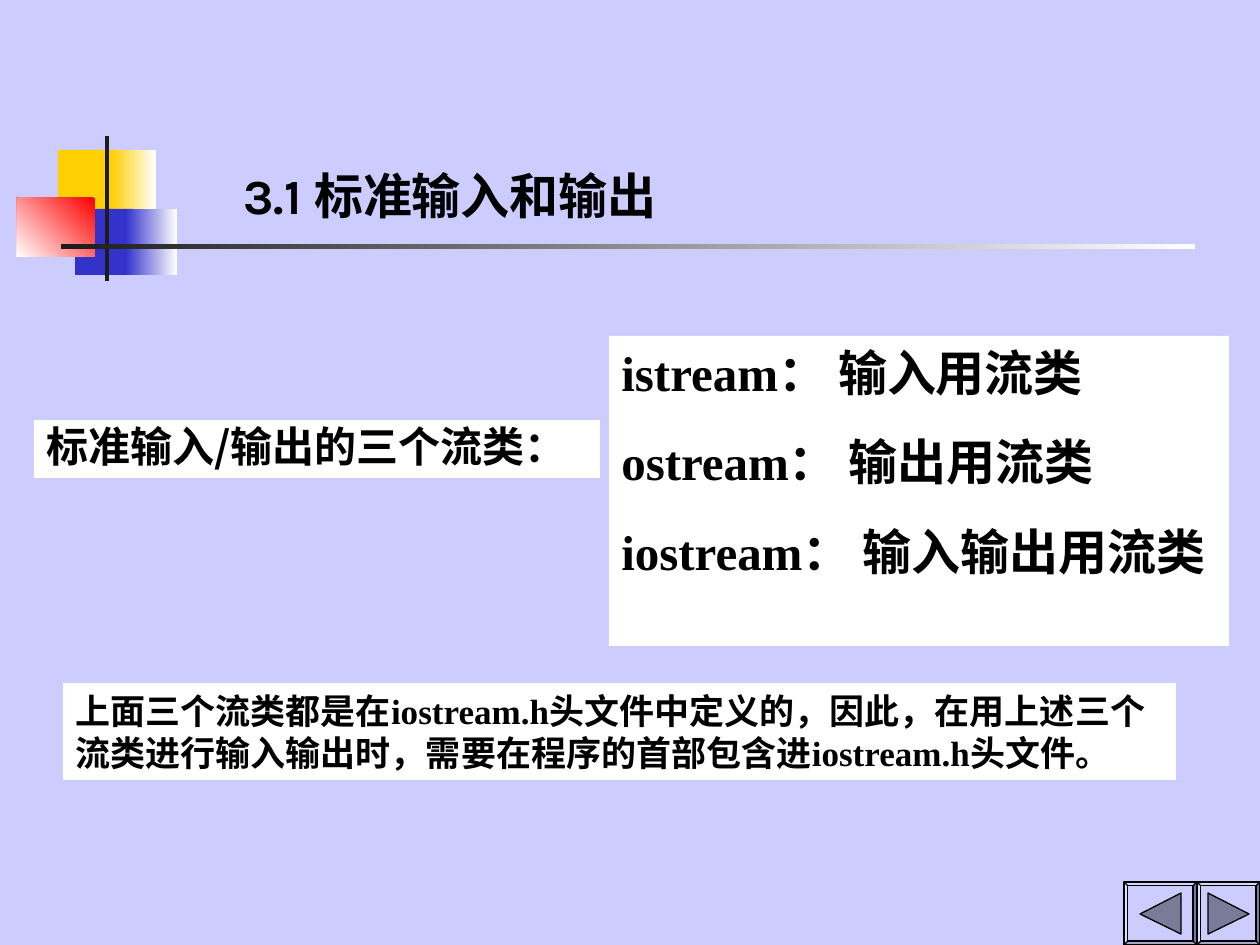
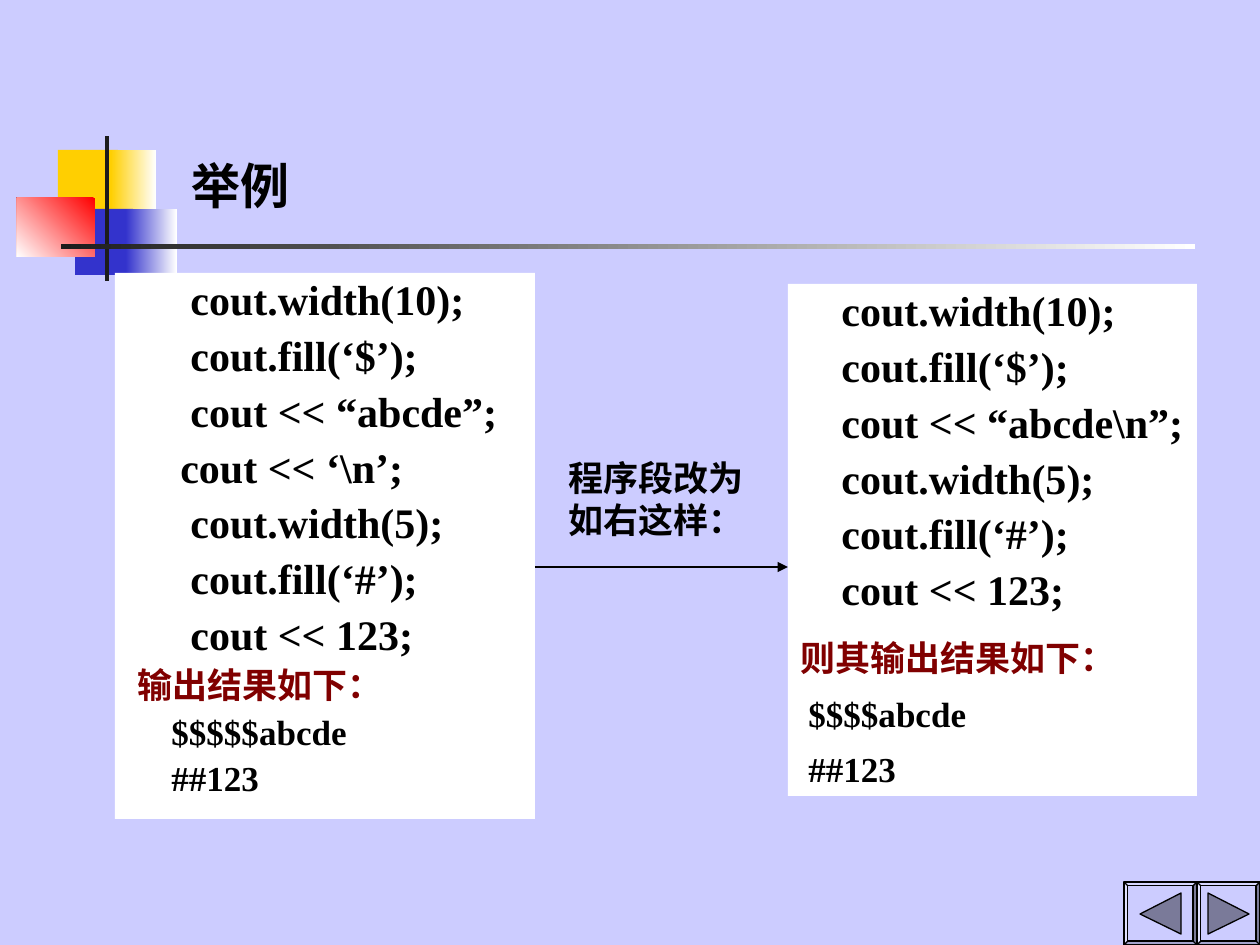
from lxml.etree import SubElement
from pptx import Presentation
from pptx.dml.color import RGBColor
from pptx.enum.shapes import MSO_CONNECTOR, MSO_SHAPE
from pptx.enum.text import MSO_ANCHOR
from pptx.oxml.ns import qn
from pptx.util import Pt

SCALE = 914400 / 126  # EMU in one px
LAVENDER = RGBColor(0xCC, 0xCC, 0xFF)
YELLOW = RGBColor(0xFF, 0xCF, 0x01)
BLUE = RGBColor(0x33, 0x33, 0xCC)
RED = RGBColor(0xFF, 0x00, 0x00)
CHARCOAL = RGBColor(0x1C, 0x1C, 0x1C)
MAROON = RGBColor(0x80, 0x00, 0x00)
SLATE = RGBColor(0x7A, 0x7A, 0x99)
WHITE = RGBColor(0xFF, 0xFF, 0xFF)
BLACK = RGBColor(0x00, 0x00, 0x00)
HAN, ROMAN, SANS = "Noto Sans CJK SC", "Times New Roman", "Karla"


def emu(*lengths):
    return [round(length * SCALE) for length in lengths]


def paint(shape, color, fade_angle=None, outlined=False):
    """Fill a shape; with fade_angle the colour fades to white that way."""
    shape.shadow.inherit = False
    if fade_angle is None:
        shape.fill.solid()
        shape.fill.fore_color.rgb = color
    else:
        shape.fill.gradient()
        shape.fill.gradient_angle = fade_angle
        for stop, tint in zip(shape.fill.gradient_stops, (color, WHITE)):
            stop.color.rgb = tint
    if outlined:
        shape.line.color.rgb = BLACK
        shape.line.width = Pt(0.75)
    else:
        shape.line.fill.background()


def add_block(page, box, color, fade_angle=None):
    block = page.shapes.add_shape(MSO_SHAPE.RECTANGLE, *emu(*box))
    paint(block, color, fade_angle)


def add_text_box(page, box, fill=None, anchor=MSO_ANCHOR.TOP):
    text_box = page.shapes.add_textbox(*emu(*box))
    if fill is not None:
        text_box.fill.solid()
        text_box.fill.fore_color.rgb = fill
    frame = text_box.text_frame
    frame.word_wrap = True
    frame.vertical_anchor = anchor
    return frame


def write(frame, *spans, size=24, color=BLACK, before=0, spacing=1.0, indent=0):
    """Add one paragraph made of (text, font name) spans."""
    para = frame.paragraphs[0]
    if para.runs:
        para = frame.add_paragraph()
    para.space_before = Pt(before)
    para.line_spacing = spacing
    para._p.get_or_add_pPr().set("marL", str(emu(indent)[0]))
    for text, font_name in spans:
        span = para.add_run()
        span.text = text
        font = span.font
        font.name, font.size, font.bold = font_name, Pt(size), True
        font.color.rgb = color
        SubElement(font._element, qn("a:ea"), typeface=font_name)


def draw_emblem(page, left, top):
    for x, y, width, height, color, fade_angle in (
        (41, 14, 60, 66, YELLOW, None),
        (94, 14, 45, 66, YELLOW, 0),
        (58, 73, 58, 66, BLUE, None),
        (109, 73, 51, 66, BLUE, 0),
        (0, 62, 78, 59, RED, 225),
        (88, 0, 4, 145, CHARCOAL, None),
        (44, 108, 1134, 5, CHARCOAL, 0),
    ):
        add_block(page, (left + x, top + y, width, height), color, fade_angle)


def draw_button(page, box, direction):
    """Bevelled button with an arrow; direction is -1 for back, 1 for next."""
    left, top, width, height = box
    bevel = page.shapes.add_shape(MSO_SHAPE.BEVEL, *emu(*box))
    bevel.adjustments[0] = 0.06
    paint(bevel, LAVENDER, outlined=True)
    x, y, reach = left + width / 2, top + height / 2, 20.5
    base = x - direction * reach
    outline = page.shapes.build_freeform(base, y - reach, scale=SCALE)
    outline.add_line_segments([(x + direction * reach, y), (base, y + reach)])
    paint(outline.convert_to_shape(), SLATE, outlined=True)


def start_page(deck, title_box, *title):
    page = deck.slides.add_slide(deck.slide_layouts[6])
    page.background.fill.solid()
    page.background.fill.fore_color.rgb = LAVENDER
    draw_emblem(page, 17, 136)
    frame = add_text_box(page, title_box, anchor=MSO_ANCHOR.BOTTOM)
    write(frame, *title, size=28)
    draw_button(page, (1124, 882, 73, 63), -1)
    draw_button(page, (1197, 882, 63, 63), 1)
    return page


def draw_arrow(page, start_x, end_x, y):
    arrow = page.shapes.add_connector(MSO_CONNECTOR.STRAIGHT, *emu(start_x, y, end_x, y))
    arrow.line.color.rgb = BLACK
    arrow.line.width = Pt(0.75)
    SubElement(arrow.line._get_or_add_ln(), qn("a:tailEnd"), type="triangle")
    SubElement(arrow._element.spPr, qn("a:effectLst"))


def write_code(frame, lines, indent, outdents=None):
    for line in lines:
        shift = (outdents or {}).get(line, 0)
        write(frame, (line, ROMAN), before=6, spacing=0.9, indent=indent - shift)


def build_stream_classes(deck):
    page = start_page(deck, (231, 147, 494, 84), ("3.1 ", SANS), ("标准输入和输出", HAN))
    classes = add_text_box(page, (609, 336, 620, 310), WHITE)
    for name, purpose in (
        ("istream", "： 输入用流类"),
        ("ostream", "： 输出用流类"),
        ("iostream", "： 输入输出用流类"),
    ):
        write(classes, (name, ROMAN), (purpose, HAN), size=28, before=17.5)
    header = ("iostream.h", ROMAN)
    write(
        add_text_box(page, (63, 683, 1113, 97), WHITE),
        ("上面三个流类都是在", HAN),
        header,
        ("头文件中定义的，因此，在用上述三个流类进行输入输出时，需要在程序的首部包含进", HAN),
        header,
        ("头文件。", HAN),
        size=20,
        before=5,
    )
    caption = add_text_box(page, (34, 420, 566, 58), WHITE)
    write(caption, ("标准输入/输出的三个流类：", HAN), before=6, spacing=0.9)


def build_example(deck):
    page = start_page(deck, (179, 147, 157, 74), ("举例", HAN))
    opening = ["cout.width(10);", "cout.fill(‘$’);"]
    closing = ["cout.width(5);", "cout.fill(‘#’);", "cout << 123;"]
    newline = "cout << ‘\\n’;"

    before = add_text_box(page, (115, 273, 420, 546), WHITE)
    write_code(before, opening + ["cout << “abcde”;", newline] + closing, 63, {newline: 10})
    result = {"size": 20, "before": 5, "spacing": 0.9}
    write(before, ("输出结果如下：", HAN), color=MAROON, indent=10, **result)
    for line in ("$$$$$abcde", "##123"):
        write(before, (line, ROMAN), indent=44, **result)

    after = add_text_box(page, (788, 284, 409, 512), WHITE)
    write_code(after, opening + ["cout << “abcde\\n”;"] + closing, 41)
    result = {"size": 20, "before": 12.5}
    write(after, ("则其输出结果如下：", HAN), color=MAROON, **result)
    for line in ("$$$$abcde", "##123"):
        write(after, (line, ROMAN), spacing=0.8, indent=8, **result)

    note = add_text_box(page, (556, 450, 221, 97))
    write(note, ("程序段改为如右这样：", HAN), size=20)
    draw_arrow(page, 535, 788, 567)


def main():
    deck = Presentation()
    deck.slide_width, deck.slide_height = emu(1260, 945)
    build_stream_classes(deck)
    build_example(deck)
    deck.save("out.pptx")


if __name__ == "__main__":
    main()
